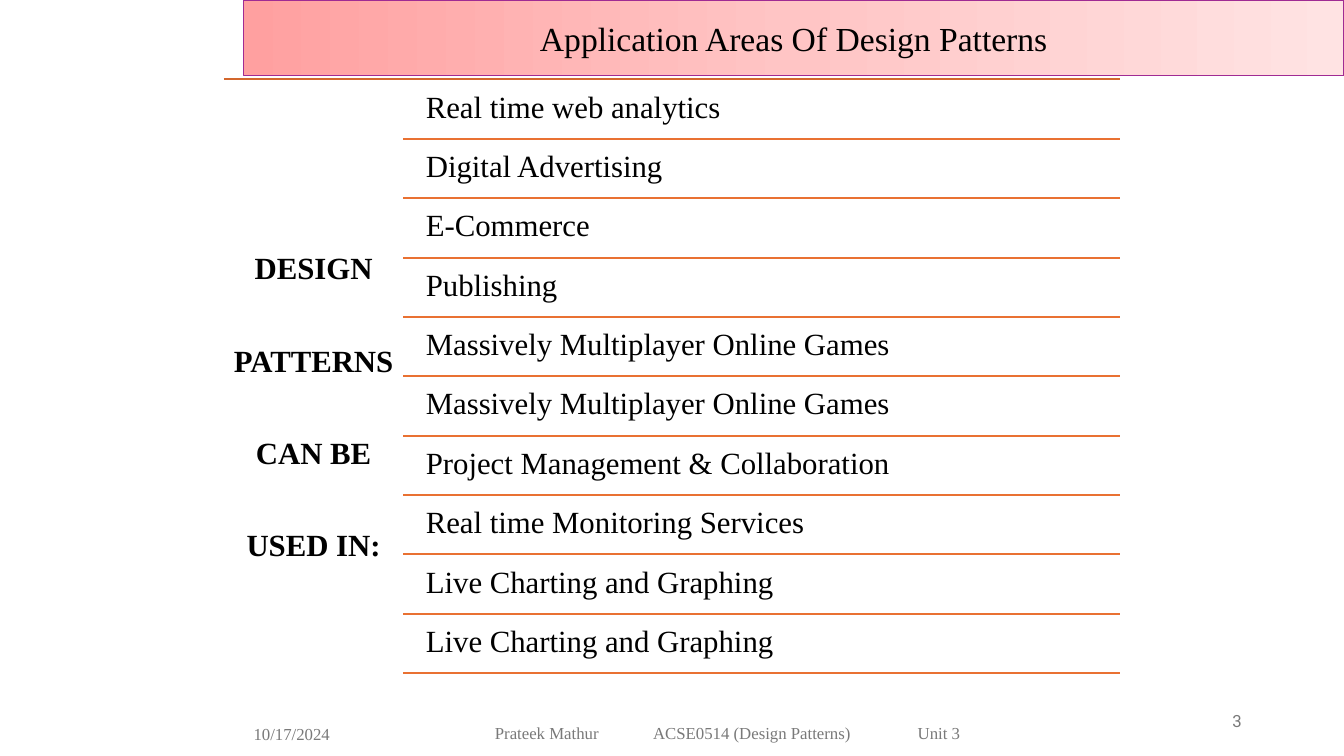
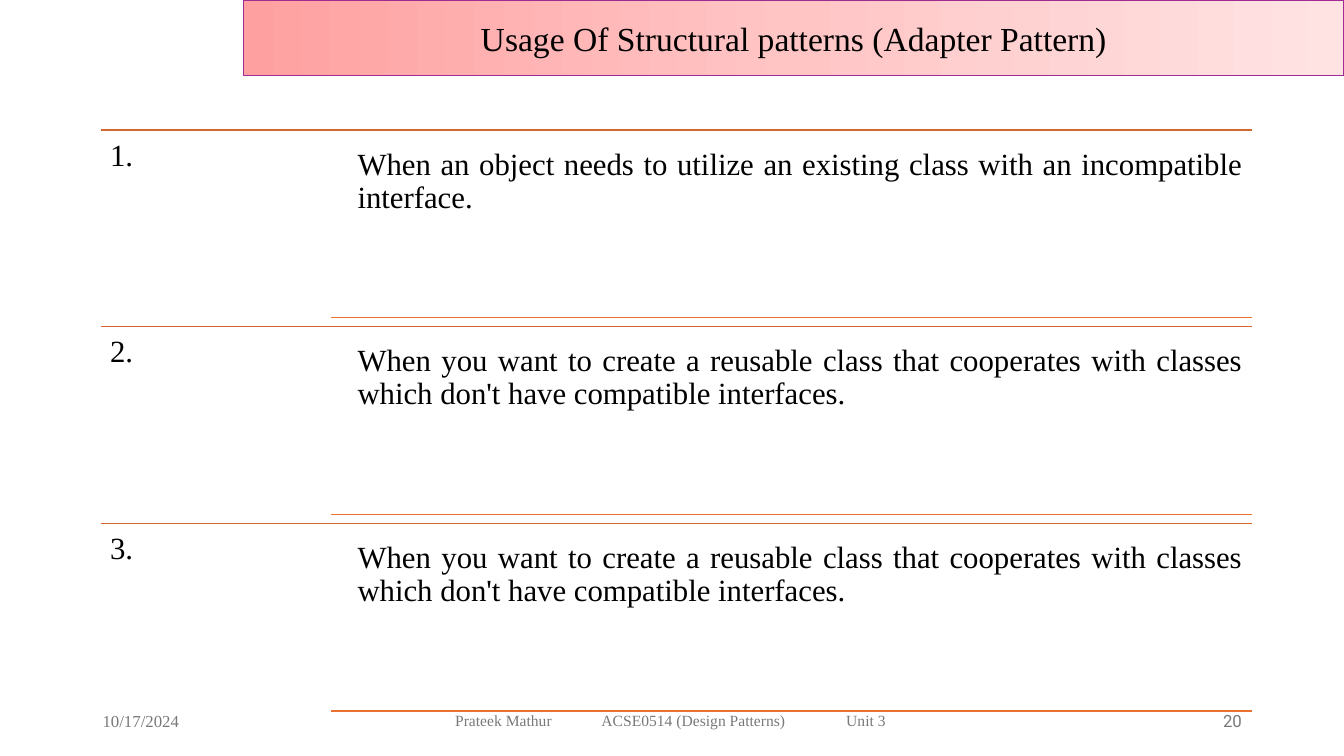
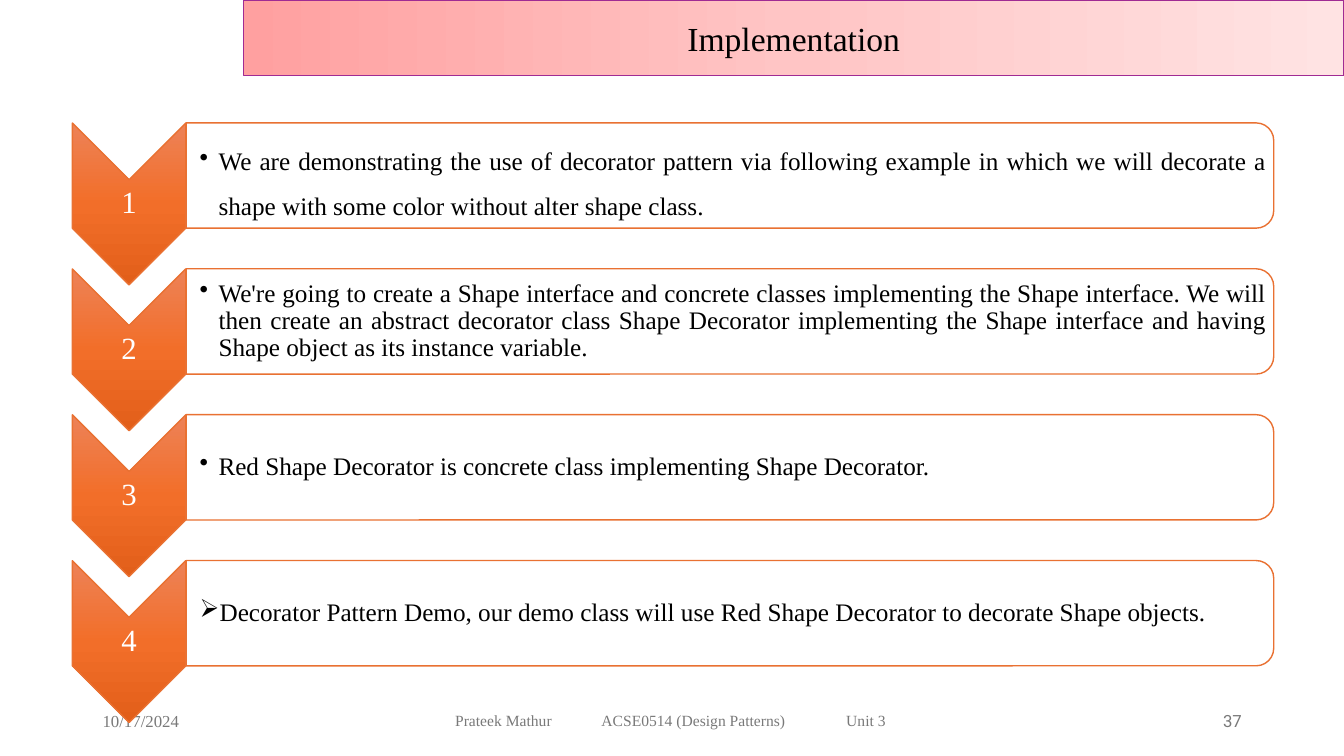
import copy
import pptx
import pptx.util
import pptx.dml.color
import pptx.enum.shapes
import pptx.enum.text
import pptx.oxml.ns
import lxml.etree

Pt = pptx.util.Pt
RGB = pptx.dml.color.RGBColor
qn = pptx.oxml.ns.qn
KIND = pptx.enum.shapes.MSO_SHAPE
ALIGN = pptx.enum.text.PP_ALIGN
ANCHOR = pptx.enum.text.MSO_ANCHOR

BLACK = RGB(0x00, 0x00, 0x00)
WHITE = RGB(0xFF, 0xFF, 0xFF)
GRAY = RGB(0x79, 0x79, 0x79)
PURPLE = RGB(0xA0, 0x2B, 0x93)
ORANGE = RGB(0xE9, 0x71, 0x32)
RUST = RGB(0xD3, 0x67, 0x2D)
PINKS = [RGB(0xFF, 0xA0, 0xA0), RGB(0xFF, 0xC5, 0xC5), RGB(0xFF, 0xE3, 0xE3)]
FLAMES = [RGB(0xED, 0x82, 0x57), RGB(0xF2, 0x6E, 0x29), RGB(0xE2, 0x5F, 0x1A)]
SERIF = "Times New Roman"

DATE = "10/17/2024"
FOOTER = "Prateek Mathur\tACSE0514 (Design Patterns)\tUnit 3"
TABS = (113, 302)

AREAS = [
    "Real time web analytics",
    "Digital Advertising",
    "E-Commerce",
    "Publishing",
    "Massively Multiplayer Online Games",
    "Massively Multiplayer Online Games",
    "Project Management & Collaboration",
    "Real time Monitoring Services",
    "Live Charting and Graphing",
    "Live Charting and Graphing",
]
USES = [
    "When an object needs to utilize an existing class with an incompatible interface.",
    "When you want to create a reusable class that cooperates with classes which don't have compatible interfaces.",
    "When you want to create a reusable class that cooperates with classes which don't have compatible interfaces.",
]
STEPS = [
    ("•", 1.5, "We are demonstrating the use of decorator pattern via following example in which we will decorate a shape with some color without alter shape class."),
    ("•", 0.9, "We're going to create a Shape interface and concrete classes implementing the Shape interface. We will then create an abstract decorator class Shape Decorator implementing the Shape interface and having Shape object as its instance variable."),
    ("•", 0.9, "Red Shape Decorator is concrete class implementing Shape Decorator."),
    ("➢", 0.9, "Decorator Pattern Demo, our demo class will use Red Shape Decorator to decorate Shape objects."),
]


def write(shape, text, size=22, font=SERIF, color=BLACK, bold=False, align=ALIGN.LEFT,
          anchor=ANCHOR.TOP, space=None, inset=(6.6, 6.6, 6.6, 6.6), bullet=None, tabs=()):
    frame = shape.text_frame
    frame.word_wrap = True
    frame.auto_size = pptx.enum.text.MSO_AUTO_SIZE.NONE
    frame.vertical_anchor = anchor
    (frame.margin_left, frame.margin_top,
     frame.margin_right, frame.margin_bottom) = map(Pt, inset)
    para = frame.paragraphs[0]
    para.alignment = align
    if space:
        para.line_spacing = space
    run = para.add_run()
    run.text = text
    run.font.size = Pt(size)
    run.font.name = font
    run.font.bold = bold
    run.font.color.rgb = color
    props = para._p.get_or_add_pPr()
    if bullet:
        props.set("marL", str(Pt(13.5)))
        props.set("indent", str(Pt(-13.5)))
        lxml.etree.SubElement(props, qn("a:buChar")).set("char", bullet)
    if tabs:
        stops = lxml.etree.SubElement(props, qn("a:tabLst"))
        for stop in tabs:
            tab = lxml.etree.SubElement(stops, qn("a:tab"))
            tab.set("pos", str(Pt(stop)))
            tab.set("algn", "l")


def label(slide, box, text, **style):
    write(slide.shapes.add_textbox(*map(Pt, box)), text, **style)


def rule(slide, left, right, y, color, width):
    line = slide.shapes.add_connector(
        pptx.enum.shapes.MSO_CONNECTOR.STRAIGHT, Pt(left), Pt(y), Pt(right), Pt(y))
    line.line.color.rgb = color
    line.line.width = Pt(width)
    lxml.etree.SubElement(line._element.spPr, qn("a:effectLst"))


def blend(shape, colors, angle):
    shape.fill.gradient()
    shape.fill.gradient_angle = angle
    grad = shape._element.spPr.find(qn("a:gradFill"))
    grad.set("rotWithShape", "0")
    stops = grad.find(qn("a:gsLst"))
    stops.append(copy.deepcopy(stops[-1]))
    for i, (stop, color) in enumerate(zip(shape.fill.gradient_stops, colors)):
        stop.position = i / 2
        stop.color.rgb = color


def turned(slide, kind, box):
    shape = slide.shapes.add_shape(kind, *map(Pt, box))
    shape.rotation = 90
    shape.shadow.inherit = False
    shape.line.color.rgb = ORANGE
    shape.line.width = Pt(1)
    return shape


def start(deck, title, number, date=(66.2, 500.4), foot=(318, 500.4), size=11.1):
    slide = deck.slides.add_slide(deck.slide_layouts[5])
    band = slide.shapes.title
    band.left, band.top, band.width, band.height = map(Pt, (174, 0, 786, 54))
    blend(band, PINKS, 0)
    band.line.color.rgb = PURPLE
    band.line.width = Pt(1)
    write(band, title, size=24, align=ALIGN.CENTER, anchor=ANCHOR.MIDDLE)
    small = dict(color=GRAY, anchor=ANCHOR.MIDDLE, inset=(7.2, 3.6, 7.2, 3.6))
    label(slide, (*date, 168, 28.8), DATE, size=12, **small)
    label(slide, (*foot, 400, 28.8), FOOTER, size=size,
          tabs=[stop * size / 12 for stop in TABS], **small)
    label(slide, (678.2, 500.4, 216, 28.8), number, size=12, font="Roboto",
          align=ALIGN.RIGHT, **small)
    return slide


def areas(deck):
    slide = start(deck, "Application Areas Of Design Patterns", "3",
                  date=(174, 510), foot=(346.4, 509), size=12)
    rule(slide, 160, 800, 56.7, RUST, 1.5)
    label(slide, (160, 56.7, 128, 427), "DESIGN PATTERNS CAN BE USED IN:", bold=True,
          align=ALIGN.CENTER, anchor=ANCHOR.MIDDLE, space=2.5)
    for i, area in enumerate(AREAS):
        top = 58.8 + 42.4 * i
        label(slide, (297.6, top, 502.4, 40.4), area, space=0.9)
        rule(slide, 288, 800, top + 40.4, ORANGE, 1.5)


def uses(deck):
    slide = start(deck, "Usage Of Structural patterns (Adapter Pattern)", "20")
    style = dict(align=ALIGN.JUSTIFY, space=0.9)
    for i, use in enumerate(USES):
        top = 93 + 140.4 * i
        rule(slide, 72, 894, top, RUST, 1)
        label(slide, (72, top, 164, 140.4), f"{i + 1}.", **style)
        label(slide, (248.8, top + 6.4, 645.2, 127.6), use, **style)
        rule(slide, 236.4, 894, top + 134, ORANGE, 1)


def steps(deck):
    slide = start(deck, "Implementation", "37")
    for i, (bullet, space, text) in enumerate(STEPS):
        top = 87.8 + 104.2 * i
        arrow = turned(slide, KIND.CHEVRON, (34.4, top + 17.4, 115.6, 81))
        blend(arrow, FLAMES, 270)
        label(slide, (51.8, top + 40.4, 80.8, 34.6), str(i + 1), color=WHITE, space=0.9,
              align=ALIGN.CENTER, anchor=ANCHOR.MIDDLE, inset=(1.2, 1.2, 1.2, 1.2))
        panel = turned(slide, KIND.ROUND_2_SAME_RECTANGLE,
                       (483.8, top - 350.8, 75.2, 776.8))
        panel.fill.solid()
        panel.fill.fore_color.rgb = WHITE
        label(slide, (132.6, top + 3.7, 773.2, 67.8), text, size=18, space=space,
              align=ALIGN.JUSTIFY, anchor=ANCHOR.MIDDLE, inset=(10, 0.9, 0.9, 0.9),
              bullet=bullet)


def main():
    deck = pptx.Presentation()
    deck.slide_width, deck.slide_height = Pt(960), Pt(540)
    for build in (areas, uses, steps):
        build(deck)
    deck.save("out.pptx")


if __name__ == "__main__":
    main()
